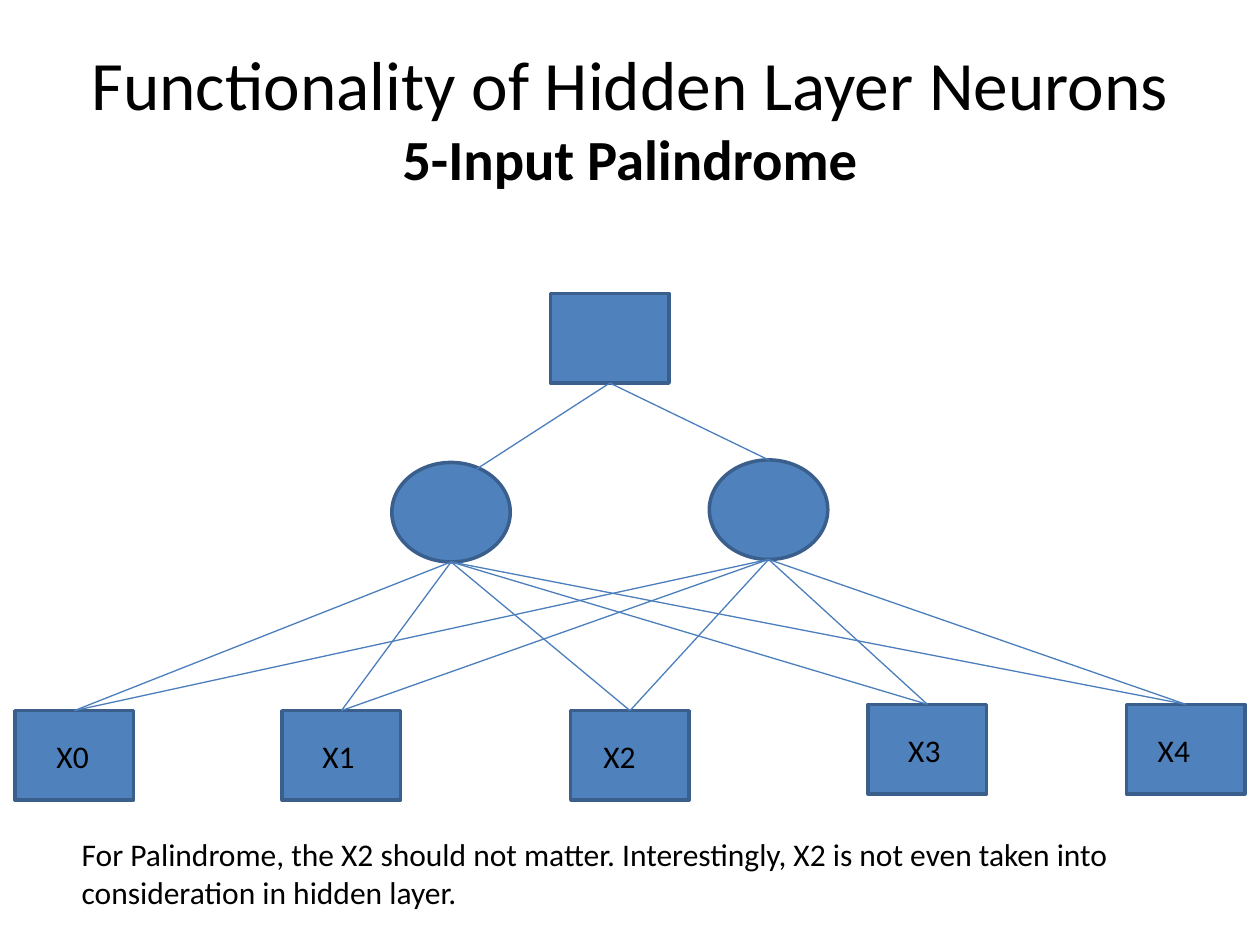
import pptx
import pptx.dml.color
import pptx.enum.shapes
import pptx.enum.text
import pptx.oxml.xmlchemy
import pptx.util
from pptx.util import Inches

COLORS = {"fill": "4F81BD", "outline": "3A5F8C", "link": "4B7EBC", "text": "000000"}
FONT = "Calibri"
NODE_WIDTH, BOX_HEIGHT, NEURON_HEIGHT = 0.94, 0.71, 0.79
OUTPUT = (4.25, 0)
NEURONS = [(2.99, 1.34), (5.51, 1.32)]
OUTPUT_ENDS = [(3.62, 1.42), (5.98, 1.32)]
INPUTS = [
    ("X0", 0, 3.31, 0.23),
    ("X1", 2.12, 3.31, 0.22),
    ("X2", 4.41, 3.31, 0.16),
    ("X3", 6.77, 3.26, 0.22),
    ("X4", 8.82, 3.26, 0.15),
]


def color(name):
    """Return the named colour as an RGB value."""
    return pptx.dml.color.RGBColor.from_string(COLORS[name])


def style_font(font, size, bold=False):
    """Apply the slide's typeface, colour and a size."""
    font.name = FONT
    font.size = pptx.util.Pt(size)
    font.bold = bold
    font.color.rgb = color("text")


def add_text_frame(slide, left, top, width, height):
    """Place an empty wrapping text box and return its frame."""
    frame = slide.shapes.add_textbox(
        Inches(left), Inches(top), Inches(width), Inches(height)
    ).text_frame
    frame.word_wrap = True
    return frame


def add_text(slide, text, left, top, width, height):
    """Place body text in a wrapping box."""
    paragraph = add_text_frame(slide, left, top, width, height).paragraphs[0]
    paragraph.text = text
    style_font(paragraph.font, 18)


def add_title(slide, left, top, width, height):
    """Place the two-line centred title."""
    frame = add_text_frame(slide, left, top, width, height)
    frame.vertical_anchor = pptx.enum.text.MSO_ANCHOR.MIDDLE
    paragraph = frame.paragraphs[0]
    paragraph.alignment = pptx.enum.text.PP_ALIGN.CENTER
    heading = paragraph.add_run()
    heading.text = "Functionality of Hidden Layer Neurons"
    style_font(heading.font, 39.6)
    paragraph.add_line_break()
    subject = paragraph.add_run()
    subject.text = "5-Input Palindrome"
    style_font(subject.font, 32.4, True)


def add_node(slide, kind, left, top, height):
    """Draw one node and return its bottom centre."""
    shape = slide.shapes.add_shape(
        kind, Inches(left), Inches(top), Inches(NODE_WIDTH), Inches(height)
    )
    shape.shadow.inherit = False
    shape.fill.solid()
    shape.fill.fore_color.rgb = color("fill")
    shape.line.color.rgb = color("outline")
    shape.line.width = pptx.util.Pt(2)
    return left + NODE_WIDTH / 2, top + height


def add_link(slide, start, end):
    """Join two points with a thin line."""
    connector = slide.shapes.add_connector(
        pptx.enum.shapes.MSO_CONNECTOR.STRAIGHT,
        *(Inches(value) for value in (*start, *end)),
    )
    connector.line.color.rgb = color("link")
    connector.line.width = pptx.util.Pt(0.75)
    effects = pptx.oxml.xmlchemy.OxmlElement("a:effectLst")
    connector._element.spPr.append(effects)


def add_network(slide, left, top):
    """Draw the output, hidden and input layers from the given corner."""
    shapes = pptx.enum.shapes.MSO_SHAPE
    output_bottom = add_node(
        slide, shapes.RECTANGLE, left + OUTPUT[0], top + OUTPUT[1], BOX_HEIGHT
    )
    neuron_bottoms = [
        add_node(slide, shapes.OVAL, left + x, top + y, NEURON_HEIGHT)
        for x, y in NEURONS
    ]
    for x, y in OUTPUT_ENDS:
        add_link(slide, output_bottom, (left + x, top + y))
    for label, x, y, label_offset in INPUTS:
        node_left, node_top = left + x, top + y
        center, _ = add_node(slide, shapes.RECTANGLE, node_left, node_top, BOX_HEIGHT)
        add_text(slide, label, node_left + label_offset, node_top + 0.16, 0.6, 0.4)
        for bottom in neuron_bottoms:
            add_link(slide, (center, node_top), bottom)


def main():
    """Build and save the slide."""
    presentation = pptx.Presentation()
    presentation.slide_width = Inches(10)
    presentation.slide_height = Inches(7.5)
    slide = presentation.slides.add_slide(presentation.slide_layouts[6])
    add_title(slide, 0.5, 0.3, 9, 1.25)
    add_network(slide, 0.12, 2.33)
    add_text(
        slide,
        "For Palindrome, the X2 should not matter. Interestingly, X2 is not even "
        "taken into consideration in hidden layer.",
        0.55, 6.58, 8.9, 0.71,
    )
    presentation.save("out.pptx")


if __name__ == "__main__":
    main()
